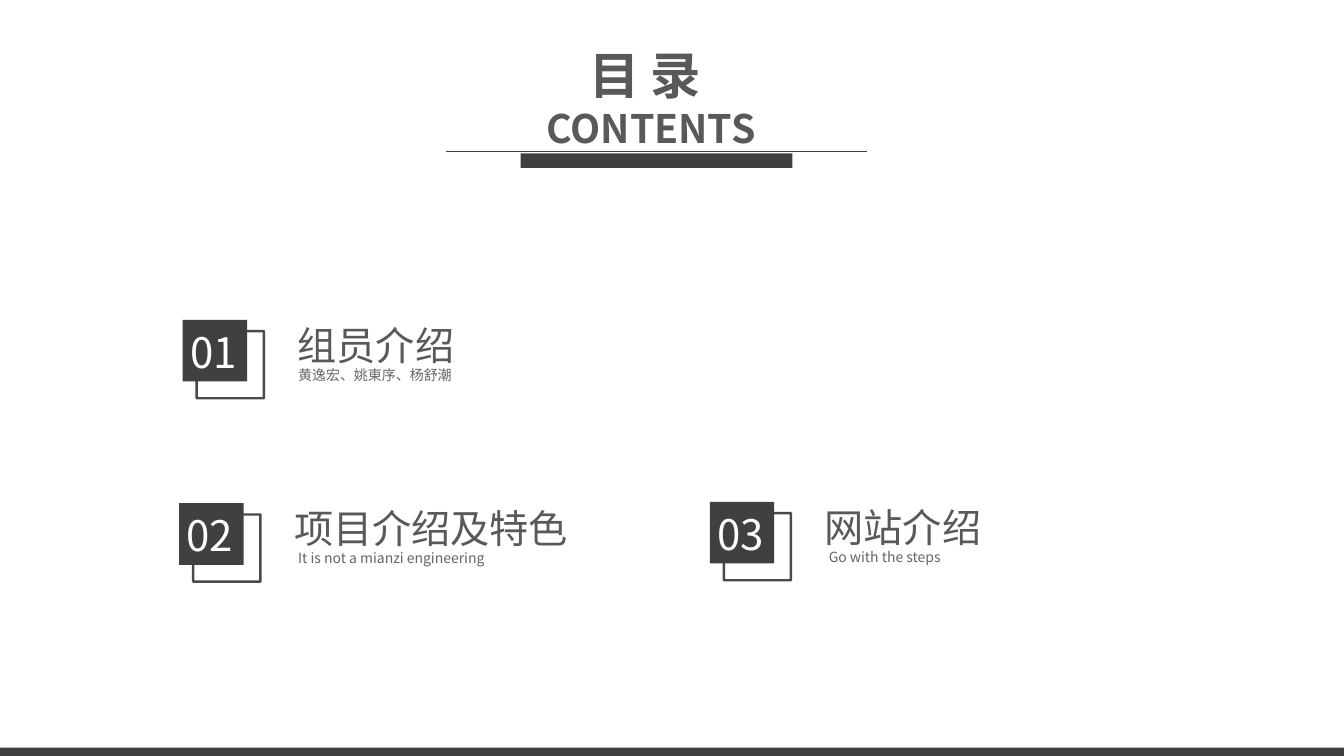
from lxml.etree import SubElement
from pptx import Presentation
from pptx.dml.color import RGBColor
from pptx.enum.shapes import MSO_CONNECTOR, MSO_SHAPE
from pptx.enum.text import MSO_ANCHOR, MSO_AUTO_SIZE, PP_ALIGN
from pptx.oxml.ns import qn
from pptx.util import Pt

DARK = RGBColor(0x40, 0x40, 0x40)
HEADING = RGBColor(0x59, 0x59, 0x59)
CAPTION = RGBColor(0x65, 0x65, 0x65)
WHITE = RGBColor(0xFF, 0xFF, 0xFF)
FONT = "Noto Sans CJK SC"

NUMBER_FRAME = dict(margin_left=Pt(5), margin_right=Pt(5),
                    margin_top=Pt(3), margin_bottom=Pt(3),
                    auto_size=MSO_AUTO_SIZE.SHAPE_TO_FIT_TEXT)
HEADING_FRAME = dict(vertical_anchor=MSO_ANCHOR.MIDDLE)
CAPTION_FRAME = dict(margin_left=0, margin_right=0, margin_top=0, margin_bottom=0,
                     auto_size=MSO_AUTO_SIZE.SHAPE_TO_FIT_TEXT)

# number, heading, caption, left, top, caption indent
ITEMS = [
    ("01", "组员介绍", "黄逸宏、姚東序、杨舒潮", 130.5, 228.5, 82.5),
    ("02", "项目介绍及特色", "It is not a mianzi engineering", 128, 359.5, 85),
    ("03", "网站介绍", "Go with the steps", 507, 358.5, 85),
]


def set_all(target, values):
    for name, value in values.items():
        setattr(target, name, value)


def write(p, text, size, color, bold=False):
    r = p.add_run()
    r.text = text
    set_all(r.font, dict(name=FONT, size=Pt(size), bold=bold))
    r.font.color.rgb = color
    SubElement(r.font._element, qn("a:ea"), typeface=FONT)


def add_rect(slide, x, y, w, h):
    sp = slide.shapes.add_shape(MSO_SHAPE.RECTANGLE, Pt(x), Pt(y), Pt(w), Pt(h))
    sp.shadow.inherit = False
    return sp


def add_bar(slide, x, y, w, h):
    sp = add_rect(slide, x, y, w, h)
    sp.fill.solid()
    sp.fill.fore_color.rgb = DARK
    sp.line.fill.background()


def add_outline(slide, x, y, w, h):
    sp = add_rect(slide, x, y, w, h)
    sp.fill.background()
    sp.line.width = Pt(1.75)
    sp.line.color.rgb = DARK
    color = sp.line._ln.find(qn("a:solidFill")).find(qn("a:srgbClr"))
    SubElement(color, qn("a:alpha"), val="94000")


def add_text(slide, x, y, w, h, text, size, color, frame, spacing=1.0):
    tf = slide.shapes.add_textbox(Pt(x), Pt(y), Pt(w), Pt(h)).text_frame
    set_all(tf, dict(word_wrap=True, **frame))
    p = tf.paragraphs[0]
    p.line_spacing = spacing
    write(p, text, size, color)


def add_header(slide, x, y, w):
    # Rule with the thick bar below it
    add_bar(slide, x + 53.5, y + 58.5, 194, 10.5)
    rule = slide.shapes.add_connector(MSO_CONNECTOR.STRAIGHT,
                                      Pt(x), Pt(y + 57), Pt(x + w), Pt(y + 57))
    rule.line.width = Pt(0.5)
    rule.line.color.rgb = DARK
    SubElement(rule._element.spPr, qn("a:effectLst"))

    # Two-line title
    title = slide.shapes.title
    set_all(title, dict(left=Pt(x + 9), top=Pt(y), width=Pt(275), height=Pt(37.5)))
    tf = title.text_frame
    set_all(tf, dict(word_wrap=True, auto_size=MSO_AUTO_SIZE.NONE,
                     vertical_anchor=MSO_ANCHOR.MIDDLE))
    for p, text, size in ((tf.paragraphs[0], "目 录 ", 36),
                          (tf.add_paragraph(), "CONTENTS", 28)):
        set_all(p, dict(alignment=PP_ALIGN.CENTER, space_before=Pt(0)))
        write(p, text, size, HEADING, bold=True)


def add_item(slide, number, heading, caption, x, y, indent):
    # Number badge
    add_outline(slide, x + 10, y + 8, 48, 48)
    add_bar(slide, x, y, 46, 44)
    add_text(slide, x + 0.25, y - 9, 54, 50, number, 30, WHITE, NUMBER_FRAME, 1.3)
    # Heading and caption
    add_text(slide, x + 75, y - 14, 378, 63.5, heading, 28, HEADING, HEADING_FRAME)
    add_text(slide, x + indent, y + 33, 275, 12, caption, 10, CAPTION, CAPTION_FRAME)


def main():
    prs = Presentation()
    prs.slide_width, prs.slide_height = Pt(960), Pt(540)
    slide = prs.slides.add_slide(prs.slide_layouts[5])
    # Footer strip
    add_bar(slide, 0, 534, 960, 6)
    add_header(slide, 318.5, 51, 301)
    for item in ITEMS:
        add_item(slide, *item)
    prs.save("out.pptx")


if __name__ == "__main__":
    main()
